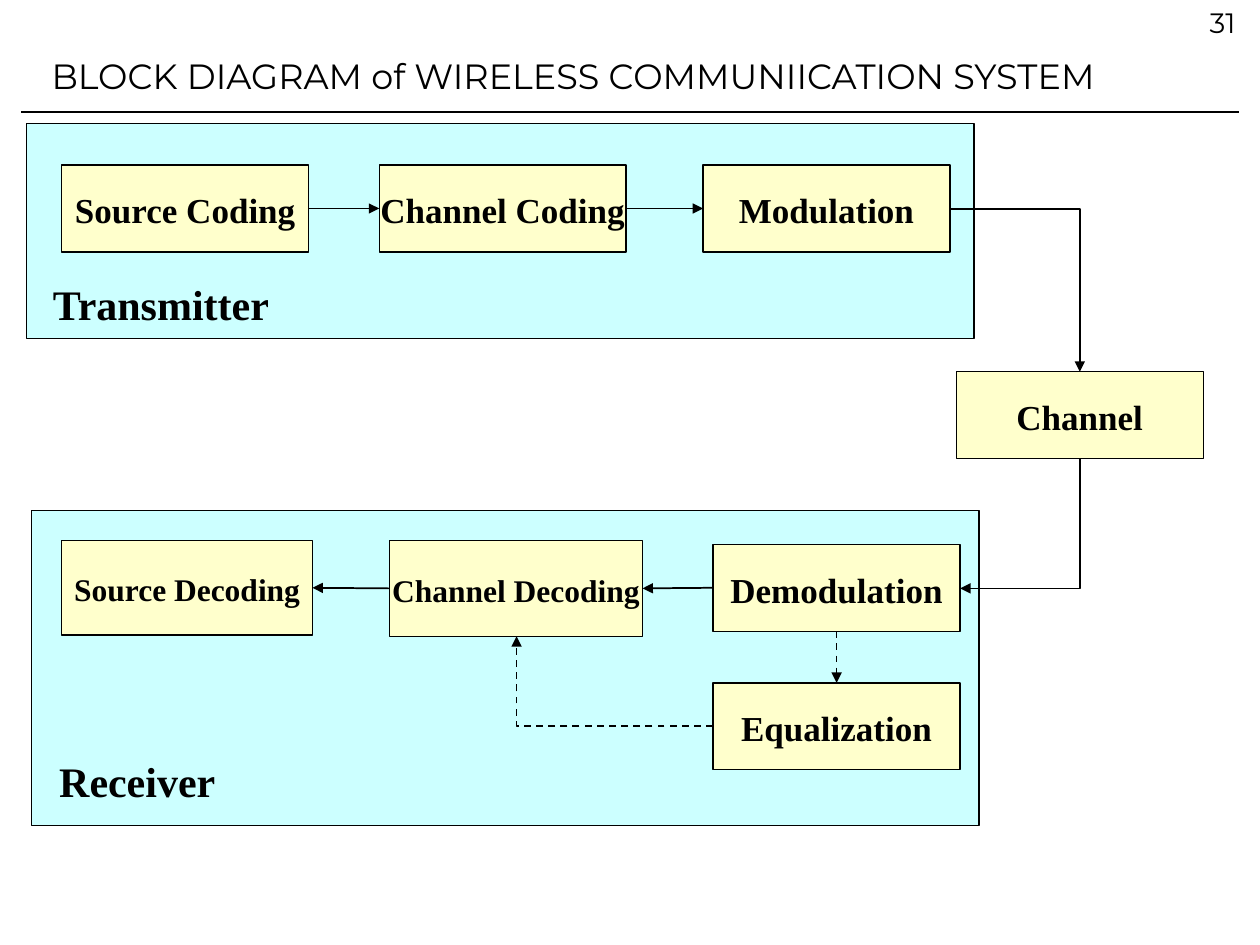
from lxml import etree
from pptx import Presentation
from pptx.dml.color import RGBColor
from pptx.enum.dml import MSO_LINE
from pptx.enum.shapes import MSO_CONNECTOR, MSO_SHAPE
from pptx.enum.text import MSO_ANCHOR, PP_ALIGN
from pptx.oxml.ns import qn
from pptx.util import Inches, Pt

RECTANGLE = MSO_SHAPE.RECTANGLE
STRAIGHT = MSO_CONNECTOR.STRAIGHT
DASH = MSO_LINE.DASH
MIDDLE = MSO_ANCHOR.MIDDLE
CENTER = PP_ALIGN.CENTER
TOP, LEFT, BOTTOM, RIGHT = range(4)

color = RGBColor.from_string
BLACK, PANEL_FILL, BLOCK_FILL = "000000", "CCFFFF", "FFFFCC"
SANS, SERIF = "Montserrat", "Times New Roman"


def style_line(shape, width, dashed=False, arrow=True):
    shape.line.color.rgb = color(BLACK)
    shape.line.width = Pt(width)
    if dashed:
        shape.line.dash_style = DASH
    properties = shape._element.spPr
    if arrow:
        etree.SubElement(properties.find(qn("a:ln")), qn("a:tailEnd"), type="triangle")
    if properties.find(qn("a:effectLst")) is None:
        etree.SubElement(properties, qn("a:effectLst"))


def write_text(shape, text, size, font_name, bold):
    frame = shape.text_frame
    frame.margin_left = frame.margin_right = frame.margin_bottom = 0
    frame.margin_top = Inches(0.02)
    frame.word_wrap = False
    paragraph = frame.paragraphs[0]
    paragraph.text = text
    paragraph.font.size = Pt(size)
    paragraph.font.name = font_name
    paragraph.font.bold = bold
    paragraph.font.color.rgb = color(BLACK)


presentation = Presentation()
presentation.slide_width = Inches(10)
presentation.slide_height = Inches(7.5)
slide = presentation.slides.add_slide(presentation.slide_layouts[6])
shapes = slide.shapes

title_rule = shapes.add_connector(
    STRAIGHT, Inches(0.17), Inches(0.89), Inches(9.83), Inches(0.89))
style_line(title_rule, 0.72, arrow=False)

# Panels behind the transmitter and receiver stages
for left, top, height in [(0.25, 4.05, 2.5), (0.21, 0.98, 1.71)]:
    panel = shapes.add_shape(
        RECTANGLE, Inches(left), Inches(top), Inches(7.52), Inches(height))
    panel.shadow.inherit = False
    panel.fill.solid()
    panel.fill.fore_color.rgb = color(PANEL_FILL)
    style_line(panel, 0.72, arrow=False)

# Title, slide number and panel names
for text, left, top, width, height, size, font_name, bold in [
    ("BLOCK DIAGRAM of WIRELESS COMMUNIICATION SYSTEM",
     0.41, 0.41, 9.2, 0.35, 20, SANS, False),
    ("31", 9.6, 0.02, 0.33, 0.29, 16, SANS, False),
    ("Transmitter", 0.42, 2.19, 1.75, 0.43, 24, SERIF, True),
    ("Receiver", 0.47, 5.98, 1.27, 0.43, 24, SERIF, True),
]:
    label = shapes.add_textbox(Inches(left), Inches(top), Inches(width), Inches(height))
    write_text(label, text, size, font_name, bold)

# Processing blocks: name, left, top, width, height, text size
blocks = {}
for name, left, top, width, height, size in [
    ("Source Coding", 0.49, 1.31, 1.96, 0.69, 20),
    ("Channel Coding", 3.01, 1.31, 1.96, 0.69, 20),
    ("Modulation", 5.58, 1.31, 1.96, 0.69, 20),
    ("Channel", 7.59, 2.95, 1.96, 0.69, 20),
    ("Demodulation", 5.66, 4.32, 1.96, 0.69, 20),
    ("Equalization", 5.66, 5.42, 1.96, 0.69, 20),
    ("Channel Decoding", 3.09, 4.29, 2.01, 0.76, 18),
    ("Source Decoding", 0.49, 4.29, 1.99, 0.75, 18),
]:
    block = shapes.add_shape(
        RECTANGLE, Inches(left), Inches(top), Inches(width), Inches(height))
    block.shadow.inherit = False
    block.fill.solid()
    block.fill.fore_color.rgb = color(BLOCK_FILL)
    style_line(block, 0.72, arrow=False)
    write_text(block, name, size, SERIF, True)
    block.text_frame.vertical_anchor = MIDDLE
    block.text_frame.paragraphs[0].alignment = CENTER
    blocks[name] = block

# Straight arrows between neighbouring blocks
for source, source_side, target, target_side, dashed in [
    ("Source Coding", RIGHT, "Channel Coding", LEFT, False),
    ("Channel Coding", RIGHT, "Modulation", LEFT, False),
    ("Demodulation", LEFT, "Channel Decoding", RIGHT, False),
    ("Channel Decoding", LEFT, "Source Decoding", RIGHT, False),
    ("Demodulation", BOTTOM, "Equalization", TOP, True),
]:
    arrow = shapes.add_connector(STRAIGHT, 0, 0, 0, 0)
    arrow.begin_connect(blocks[source], source_side)
    arrow.end_connect(blocks[target], target_side)
    style_line(arrow, 1, dashed)

# Arrows that turn one corner: start, corner, end
for points, dashed in [
    ([(7.54, 1.66), (8.57, 1.66), (8.57, 2.95)], False),
    ([(8.57, 3.64), (8.57, 4.67), (7.62, 4.67)], False),
    ([(5.66, 5.76), (4.1, 5.76), (4.1, 5.05)], True),
]:
    start, *others = [(Inches(x), Inches(y)) for x, y in points]
    builder = shapes.build_freeform(*start)
    builder.add_line_segments(others, close=False)
    bent_arrow = builder.convert_to_shape()
    bent_arrow.shadow.inherit = False
    bent_arrow.fill.background()
    style_line(bent_arrow, 1, dashed)

presentation.save("out.pptx")
